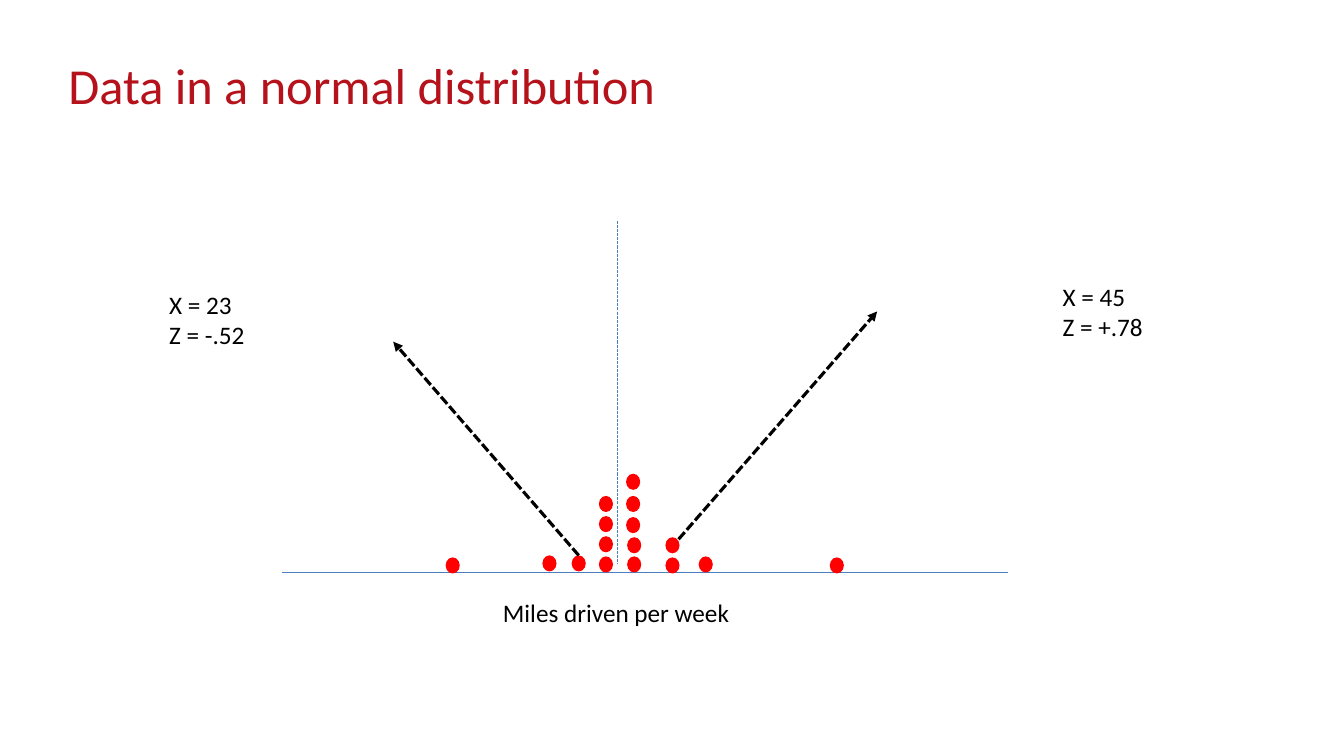
import pptx
import pptx.dml.color
import pptx.enum.dml
import pptx.enum.shapes
import pptx.enum.text
import pptx.oxml
import pptx.oxml.ns
import pptx.util

Inches = pptx.util.Inches
Pt = pptx.util.Pt
RGBColor = pptx.dml.color.RGBColor
Dash = pptx.enum.dml.MSO_LINE
Shape = pptx.enum.shapes.MSO_SHAPE

RED = RGBColor(0xFF, 0x00, 0x00)
CRIMSON = RGBColor(0xB5, 0x12, 0x1B)
BLUE = RGBColor(0x4B, 0x7E, 0xBC)
BLACK = RGBColor(0x00, 0x00, 0x00)
WHITE = RGBColor(0xFF, 0xFF, 0xFF)

# Left edge of each stack of dots, with the top of every dot in it
STACKS = [
    (4.42, [5.53]),
    (5.38, [5.51]),
    (5.67, [5.51]),
    (5.94, [5.52, 5.32, 5.12, 4.92]),
    (6.22, [5.52, 5.33]),
    (6.21, [5.13, 4.92, 4.7]),
    (6.6, [5.53, 5.33]),
    (6.93, [5.52]),
    (8.23, [5.53]),
]


class Plot:
    font = "Calibri"
    dot_size = (0.14, 0.16)

    def __init__(self, slide):
        self.slide = slide

    def line(self, start, end, color, width, dash=None, arrow=False):
        ends = [Inches(v) for v in (*start, *end)]
        line = self.slide.shapes.add_connector(
            pptx.enum.shapes.MSO_CONNECTOR.STRAIGHT, *ends)
        line.line.color.rgb = color
        line.line.width = Pt(width)
        if dash is not None:
            line.line.dash_style = dash
        if arrow:
            tip = pptx.oxml.parse_xml(
                f'<a:tailEnd {pptx.oxml.ns.nsdecls("a")} type="triangle"/>')
            line.line._get_or_add_ln().append(tip)
        line._element.spPr.append(pptx.oxml.parse_xml(
            f'<a:effectLst {pptx.oxml.ns.nsdecls("a")}/>'))

    def dot(self, left, top):
        dot = self.slide.shapes.add_shape(
            Shape.OVAL, Inches(left), Inches(top),
            *[Inches(v) for v in self.dot_size])
        dot.shadow.inherit = False
        dot.fill.solid()
        dot.fill.fore_color.rgb = RED
        dot.line.fill.background()

    def text(self, box, rows, size=18, color=BLACK, wrap=False,
             pitch=None, fill=None):
        shape = self.slide.shapes.add_textbox(*[Inches(v) for v in box])
        if fill is not None:
            shape.fill.solid()
            shape.fill.fore_color.rgb = fill
        frame = shape.text_frame
        frame.word_wrap = wrap
        frame.vertical_anchor = pptx.enum.text.MSO_ANCHOR.TOP
        for i, row in enumerate(rows):
            para = frame.add_paragraph() if i else frame.paragraphs[0]
            if pitch is not None:
                para.line_spacing = Pt(pitch)
            run = para.add_run()
            run.text = row
            run.font.name = self.font
            run.font.size = Pt(size)
            run.font.color.rgb = color


def main():
    deck = pptx.Presentation()
    deck.slide_width = Inches(13.33)
    deck.slide_height = Inches(7.5)
    plot = Plot(deck.slides.add_slide(deck.slide_layouts[6]))

    plot.line((2.8, 5.68), (10, 5.68), BLUE, 0.75)
    plot.line((6.12, 2.19), (6.12, 5.59), BLUE, 0.75, Dash.SQUARE_DOT)
    for left, tops in STACKS:
        for top in tops:
            plot.dot(left, top)

    for start, end in [((5.74, 5.51), (3.9, 3.39)),
                       ((6.73, 5.35), (8.7, 3.09))]:
        plot.line(start, end, BLACK, 2.25, Dash.SQUARE_DOT, arrow=True)
    plot.text((1.58, 2.82, 0.96, 0.71), ["X = 23", "Z = -.52"])
    plot.text((10.44, 2.74, 1.01, 0.71), ["X = 45", "Z = +.78"])
    plot.text((4.89, 5.88, 2.47, 0.4), ["Miles driven per week"], fill=WHITE)
    plot.text((0.58, 0.6, 9.87, 1.26), ["Data in a normal distribution"],
              size=36, color=CRIMSON, wrap=True, pitch=35)

    deck.save("out.pptx")


if __name__ == "__main__":
    main()
